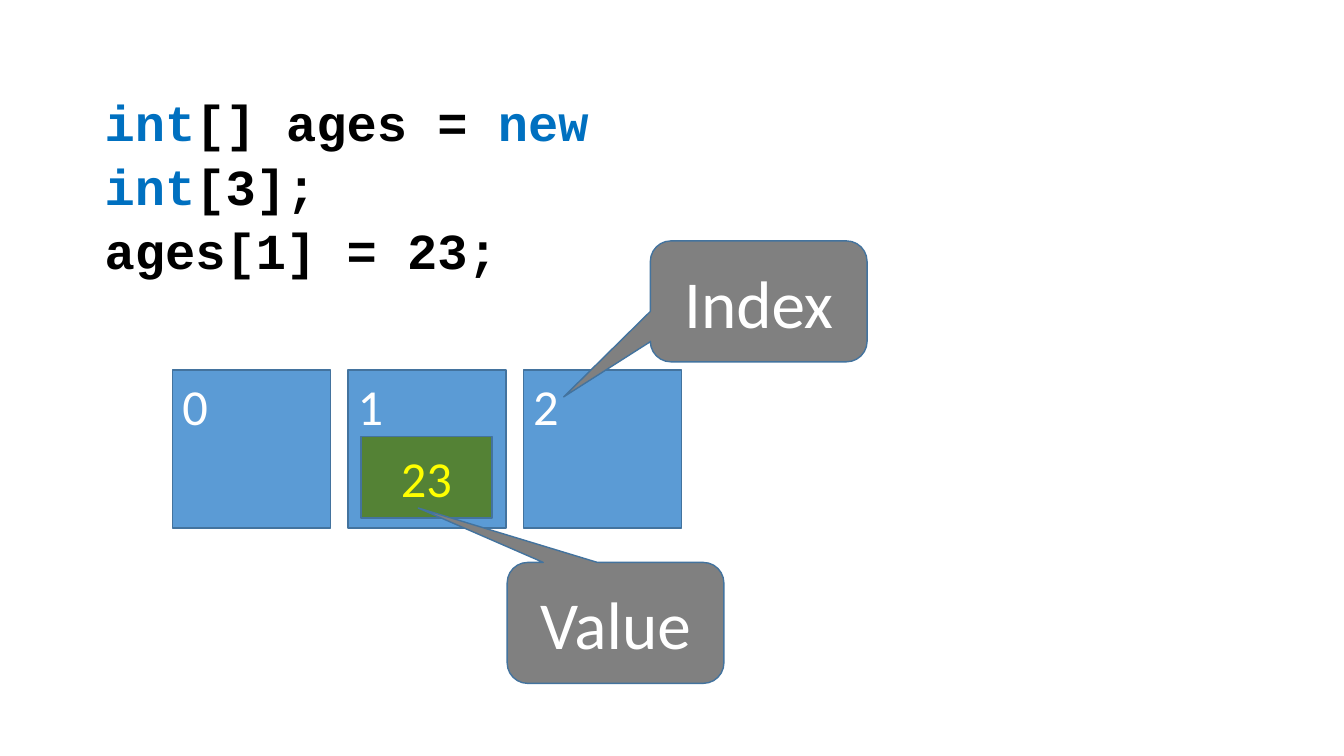
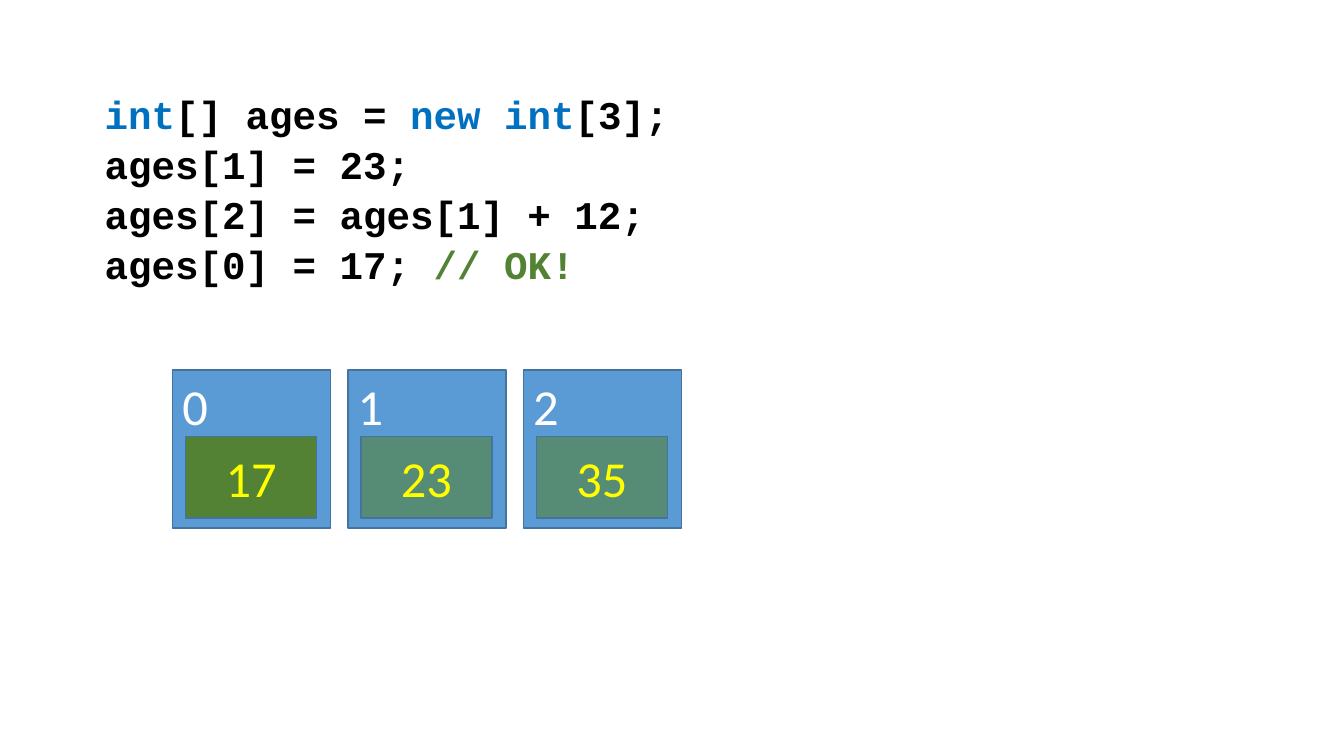
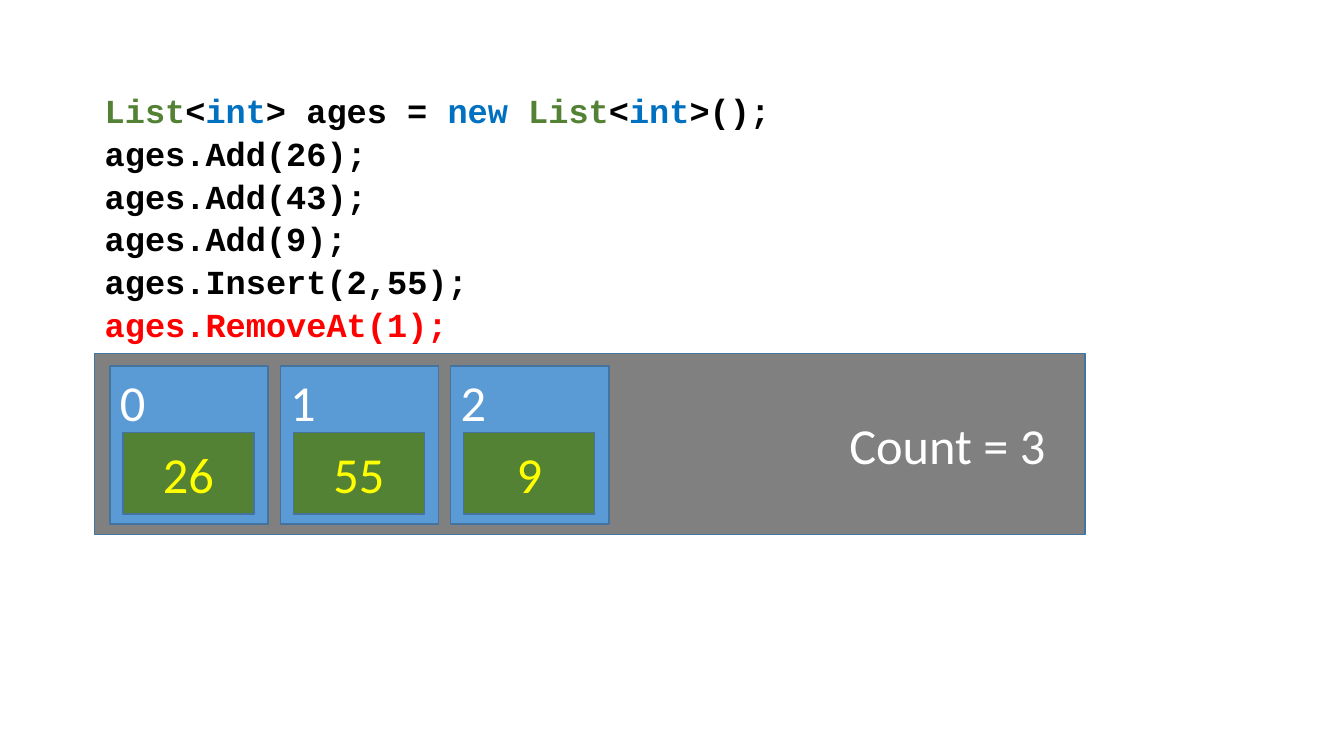
from lxml import etree
from pptx import Presentation
from pptx.dml.color import RGBColor
from pptx.enum.shapes import MSO_SHAPE
from pptx.enum.text import MSO_ANCHOR, MSO_AUTO_SIZE, PP_ALIGN
from pptx.oxml.ns import qn
from pptx.util import Inches, Pt

RECT, CALLOUT = MSO_SHAPE.RECTANGLE, MSO_SHAPE.ROUNDED_RECTANGULAR_CALLOUT
TOP, MIDDLE = MSO_ANCHOR.TOP, MSO_ANCHOR.MIDDLE
LEFT, CENTER, RIGHT = PP_ALIGN.LEFT, PP_ALIGN.CENTER, PP_ALIGN.RIGHT
GROW = MSO_AUTO_SIZE.SHAPE_TO_FIT_TEXT

HEX = {
    "black": "000000", "white": "FFFFFF", "blue": "0070C0", "green": "548235",
    "red": "FF0000", "yellow": "FFFF00", "gray": "808080",
    "cell": "5B9BD5", "edge": "43739E",
}
MONO, SANS = "Courier New", "Calibri"
EDGE, HEAD = 0.94, 0.82          # left and top of the code
CELL = 1.57                      # side of an array cell
TILE = (0.13, 0.66, 1.3, 0.81)   # value tile, measured from its cell
BUBBLE = (2.15, 1.2)

ARRAY = [("int", "blue"), "[] ages = ", ("new int", "blue"), "[3];"]
LIST = [
    ("List", "green"), "<", ("int", "blue"), "> ages = ", ("new ", "blue"),
    ("List", "green"), "<", ("int", "blue"), ">();",
]

SLIDES = [
    {
        "code": [ARRAY, ["ages[1] = 23;"]],
        "size": 36, "box": (6.85, 1.31),
        "start": (1.71, 3.67), "gap": 0.17,
        "values": [None, ("23", 100), None],
        "bubbles": [("Index", 6.45, 2.39, (-0.9, 0.79, 0.17)),
                    ("Value", 5.03, 5.58, (-0.91, -0.95, 0.17))],
    },
    {
        "code": [ARRAY, ["ages[1] = 23;"], ["ages[2] = ages[1] + 12;"],
                 ["ages[0] = 17; ", ("// OK!", "green")]],
        "size": 28, "box": (6.85, 1.99),
        "start": (1.71, 3.67), "gap": 0.17,
        "values": [("17", 100), ("23", 60), ("35", 60)],
    },
    {
        "code": [LIST, ["ages.Add(26);"], ["ages.Add(43);"], ["ages.Add(9);"],
                 ["ages.Insert(2,55);"], [("ages.RemoveAt(1);", "red")]],
        "size": 24, "box": (10.07, 2.52),
        "start": (1.09, 3.63), "gap": 0.12,
        "values": [("26", 100), ("55", 100), ("9", 100)],
        "band": ("Count = 3", (EDGE, 3.51, 9.82, 1.79)),
    },
]


def write(shape, lines, size=36, font=SANS, color="white", bold=False,
          align=LEFT, anchor=TOP, space=None):
    """Fill a shape with lines; each line holds strings or (string, colour)."""
    frame = shape.text_frame
    frame.word_wrap = True
    frame.vertical_anchor = anchor
    for i, line in enumerate(lines):
        para = frame.add_paragraph() if i else frame.paragraphs[0]
        para.alignment = align
        para.line_spacing = space
        for part in line:
            words, tint = (part, color) if isinstance(part, str) else part
            run = para.add_run()
            run.text = words
            run.font.name, run.font.size, run.font.bold = font, Pt(size), bold
            run.font.color.rgb = RGBColor.from_string(HEX[tint])
    return frame


def draw(slide, kind, box, fill, text, alpha=100, **fmt):
    shape = slide.shapes.add_shape(kind, *map(Inches, box))
    shape.shadow.inherit = False
    shape.fill.solid()
    shape.fill.fore_color.rgb = RGBColor.from_string(HEX[fill])
    if alpha < 100:
        tone = shape.fill._xPr.find(qn("a:solidFill"))[0]
        etree.SubElement(tone, qn("a:alpha"), val=str(alpha * 1000))
    shape.line.color.rgb = RGBColor.from_string(HEX["edge"])
    shape.line.width = Pt(1)
    write(shape, [[text]], **fmt)
    return shape


def build(slide, data):
    if "band" in data:
        text, box = data["band"]
        band = draw(slide, RECT, box, "gray", text, align=RIGHT, anchor=MIDDLE)
        band.text_frame.margin_right = Inches(0.39)

    code = slide.shapes.add_textbox(*map(Inches, (EDGE, HEAD, *data["box"])))
    frame = write(code, data["code"], size=data["size"], font=MONO,
                  color="black", bold=True, space=1.06)
    frame.auto_size = GROW

    left, top = data["start"]
    for i, value in enumerate(data["values"]):
        x = left + i * (CELL + data["gap"])
        draw(slide, RECT, (x, top, CELL, CELL), "cell", str(i))
        if value:
            text, alpha = value
            dx, dy, wide, high = TILE
            draw(slide, RECT, (x + dx, top + dy, wide, high), "green", text,
                 alpha, color="yellow", align=CENTER, anchor=MIDDLE)

    for text, x, y, tip in data.get("bubbles", []):
        note = draw(slide, CALLOUT, (x, y, *BUBBLE), "gray", text,
                    size=48, align=CENTER, anchor=MIDDLE)
        for i, part in enumerate(tip):
            note.adjustments[i] = part


def main():
    deck = Presentation()
    deck.slide_width, deck.slide_height = Inches(13.33), Inches(7.5)
    blank = deck.slide_layouts[6]
    for data in SLIDES:
        build(deck.slides.add_slide(blank), data)
    deck.save("out.pptx")


if __name__ == "__main__":
    main()
